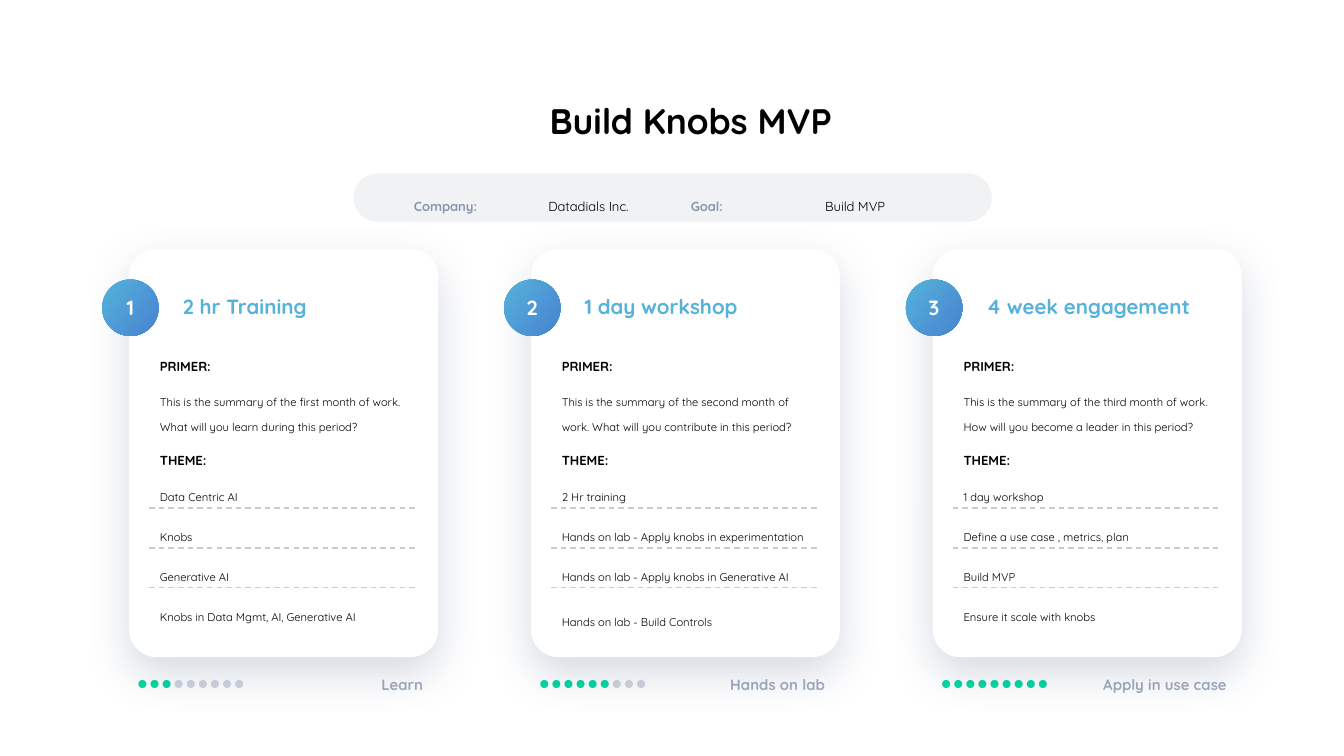
from pptx import Presentation
from pptx.dml.color import RGBColor
from pptx.enum.dml import MSO_LINE
from pptx.enum.shapes import MSO_CONNECTOR, MSO_SHAPE as SHAPE
from pptx.enum.text import MSO_ANCHOR as ANCHOR, PP_ALIGN as ALIGN
from pptx.oxml import parse_xml
from pptx.oxml.ns import nsdecls, qn
from pptx.oxml.xmlchemy import OxmlElement
from pptx.util import Inches, Pt

FONT = "Quicksand"
BLACK = RGBColor(0x00, 0x00, 0x00)
WHITE = RGBColor(0xFF, 0xFF, 0xFF)
SKY = RGBColor(0x54, 0xB2, 0xDB)
BLUE = RGBColor(0x49, 0x83, 0xD0)
GREEN = RGBColor(0x00, 0xD7, 0xA0)
SLATE = RGBColor(0x87, 0x96, 0xAF)
GREY = RGBColor(0x9E, 0xAA, 0xBE)
PALE = RGBColor(0xC4, 0xCC, 0xD7)

# Grid in inches: one column per card, one row per theme line
SLIDE_WIDTH = 10
SLIDE_HEIGHT = SLIDE_WIDTH * 9 / 16
FIRST_COLUMN, COLUMN_STEP = 0.96, 2.99
CARD_TOP, CARD_WIDTH, CARD_HEIGHT = 1.85, 2.3, 3.04
FIRST_ROW, ROW_STEP, ROW_HEIGHT = 3.52, 0.89 / 3, 0.22
BODY_INDENT, BODY_WIDTH = 0.19, 1.97
DOT_COUNT, DOT_STEP, DOT_SIZE = 9, 0.09, 0.06

CARDS = [
    ("2 hr Training",
     "This is the summary of the first month of work. What will you learn during this period?",
     ["Data Centric AI", "Knobs", "Generative AI", "Knobs in Data Mgmt, AI, Generative AI"],
     3, "Learn"),
    ("1 day workshop",
     "This is the summary of the second month of work. What will you contribute in this period?",
     ["2 Hr training", "Hands on lab - Apply knobs in experimentation",
      "Hands on lab - Apply knobs in Generative AI", "Hands on lab - Build Controls"],
     6, "Hands on lab"),
    ("4 week engagement",
     "This is the summary of the third month of work. How will you become a leader in this period?",
     ["1 day workshop", "Define a use case , metrics, plan", "Build MVP",
      "Ensure it scale with knobs"],
     9, "Apply in use case"),
]


def add_block(parent, x, y, w, h, kind=None, color=None, alpha=None):
    """Add a filled preset shape, or a text box when no kind is given."""
    box = [Inches(length) for length in (x, y, w, h)]
    if kind is None:
        return parent.add_textbox(*box)
    block = parent.add_shape(kind, *box)
    block.shadow.inherit = False
    block.line.fill.background()
    block.fill.solid()
    block.fill.fore_color.rgb = color
    if alpha is not None:
        opacity = OxmlElement("a:alpha")
        opacity.set("val", str(alpha * 1000))
        block._element.spPr.find(".//" + qn("a:srgbClr")).append(opacity)
    return block


def write(block, *paragraphs, align=ALIGN.LEFT, anchor=ANCHOR.TOP, margins=(0.04,) * 4, tab=None):
    """Each paragraph is (line spacing, runs); each run is (text, size, colour, bold)."""
    frame = block.text_frame
    frame.word_wrap = True
    frame.vertical_anchor = anchor
    (frame.margin_left, frame.margin_top,
     frame.margin_right, frame.margin_bottom) = [Inches(m) for m in margins]
    for index, (spacing, runs) in enumerate(paragraphs):
        paragraph = frame.add_paragraph() if index else frame.paragraphs[0]
        paragraph.alignment = align
        paragraph.line_spacing = spacing
        if index:
            paragraph.space_before = Pt(5)
        if tab:
            paragraph._p.get_or_add_pPr().append(parse_xml(
                f'<a:tabLst {nsdecls("a")}><a:tab pos="{Inches(tab)}" algn="l"/></a:tabLst>'))
        for text, size, color, bold in runs:
            run = paragraph.add_run()
            run.text = text
            run.font.name = FONT
            run.font.size = Pt(size)
            run.font.bold = bold
            run.font.color.rgb = color


deck = Presentation()
deck.slide_width, deck.slide_height = Inches(SLIDE_WIDTH), Inches(SLIDE_HEIGHT)
slide = deck.slides.add_slide(deck.slide_layouts[6])
shapes = slide.shapes
title_margins = (0.07, 0.04, 0.07, 0.04)

write(add_block(shapes, 2.72, 0.58, 4.84, 0.4),
      (1.36, [("Build Knobs MVP", 19, BLACK, True)]),
      align=ALIGN.CENTER, margins=title_margins)

for number, (title, primer, themes, progress, stage) in enumerate(CARDS, 1):
    left = FIRST_COLUMN + (number - 1) * COLUMN_STEP
    body = left + BODY_INDENT

    # Progress below the card
    write(add_block(shapes, left + 0.77, 4.99, 1.46, 0.21),
          (1.0, [(stage, 8, GREY, True)]), align=ALIGN.RIGHT, anchor=ANCHOR.MIDDLE)
    dots = shapes.add_group_shape().shapes
    for step in range(DOT_COUNT):
        color, alpha = (GREEN, None) if step < progress else (GREY, 50)
        add_block(dots, left + 0.07 + step * DOT_STEP, 5.06, DOT_SIZE, DOT_SIZE,
                  SHAPE.OVAL, color, alpha)

    card = add_block(shapes, left, CARD_TOP, CARD_WIDTH, CARD_HEIGHT,
                     SHAPE.ROUNDED_RECTANGLE, WHITE)
    card.adjustments[0] = 0.09
    card._element.spPr.find(qn("a:effectLst")).append(parse_xml(
        f'<a:outerShdw {nsdecls("a")} blurRad="{Pt(23)}" dist="{Pt(8.7)}" dir="5400000" '
        'algn="t" rotWithShape="0"><a:srgbClr val="475D84"><a:alpha val="22000"/>'
        '</a:srgbClr></a:outerShdw>'))

    badge = add_block(shapes, left - 0.2, 2.08, 0.42, 0.42, SHAPE.OVAL, SKY)
    badge.fill.gradient()
    badge.fill.gradient_angle = 360 - 38
    for stop, color in zip(badge.fill.gradient_stops, (SKY, BLUE)):
        stop.color.rgb = color
    write(badge, (1.0, [(str(number), 11, WHITE, True)]), align=ALIGN.CENTER,
          anchor=ANCHOR.MIDDLE, margins=(0.04, 0, 0.04, 0.01))

    write(add_block(shapes, left + 0.33, 2.15, 1.82, 0.25),
          (1.0, [(title, 11, SKY, True)]), margins=title_margins)
    write(add_block(shapes, body, 2.55, BODY_WIDTH, 0.6),
          (1.67, [("PRIMER:", 7, BLACK, True)]), (1.88, [(primer, 6, BLACK, False)]))
    write(add_block(shapes, body, 3.25, BODY_WIDTH, ROW_HEIGHT),
          (1.67, [("THEME:", 7, BLACK, True)]))

    for row, theme in enumerate(themes):
        top = FIRST_ROW + row * ROW_STEP
        last = row == len(themes) - 1
        drop = 0.04 if last and number == 2 else 0
        write(add_block(shapes, body, top + drop, BODY_WIDTH, ROW_HEIGHT),
              (1.88, [(theme, 6, BLACK, False)]))
        if not last:
            rule_y = Inches(top + 0.26)
            rule = shapes.add_connector(MSO_CONNECTOR.STRAIGHT, Inches(left + 0.15), rule_y,
                                        Inches(left + 2.14), rule_y)
            rule.line.color.rgb = PALE
            rule.line.width = Pt(0.75)
            rule.line.dash_style = MSO_LINE.DASH
            rule._element.spPr.append(OxmlElement("a:effectLst"))

# Company and goal bar
bar = shapes.add_group_shape().shapes
pill = add_block(bar, 2.63, 1.29, 4.75, 0.36, SHAPE.ROUNDED_RECTANGLE, PALE, 25)
pill.adjustments[0] = 0.5
for x, width, label, value in [(3.04, 2.06, "Company:\t", "Datadials Inc."),
                               (5.1, 1.83, "Goal:\t", "Build MVP")]:
    write(add_block(bar, x, 1.36, width, ROW_HEIGHT),
          (1.67, [(label, 7, SLATE, True), (value, 7, BLACK, False)]), tab=1)

deck.save("out.pptx")
